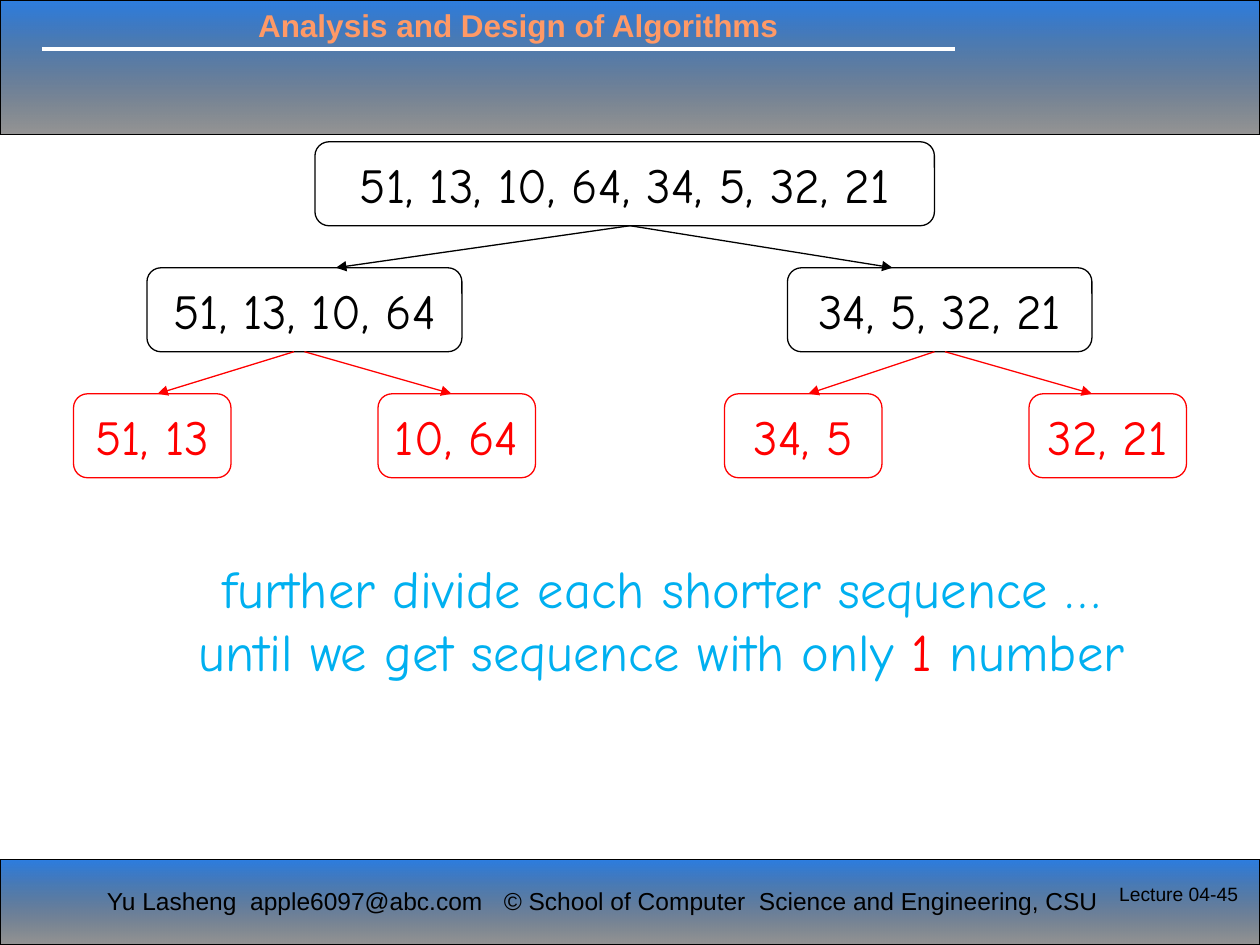
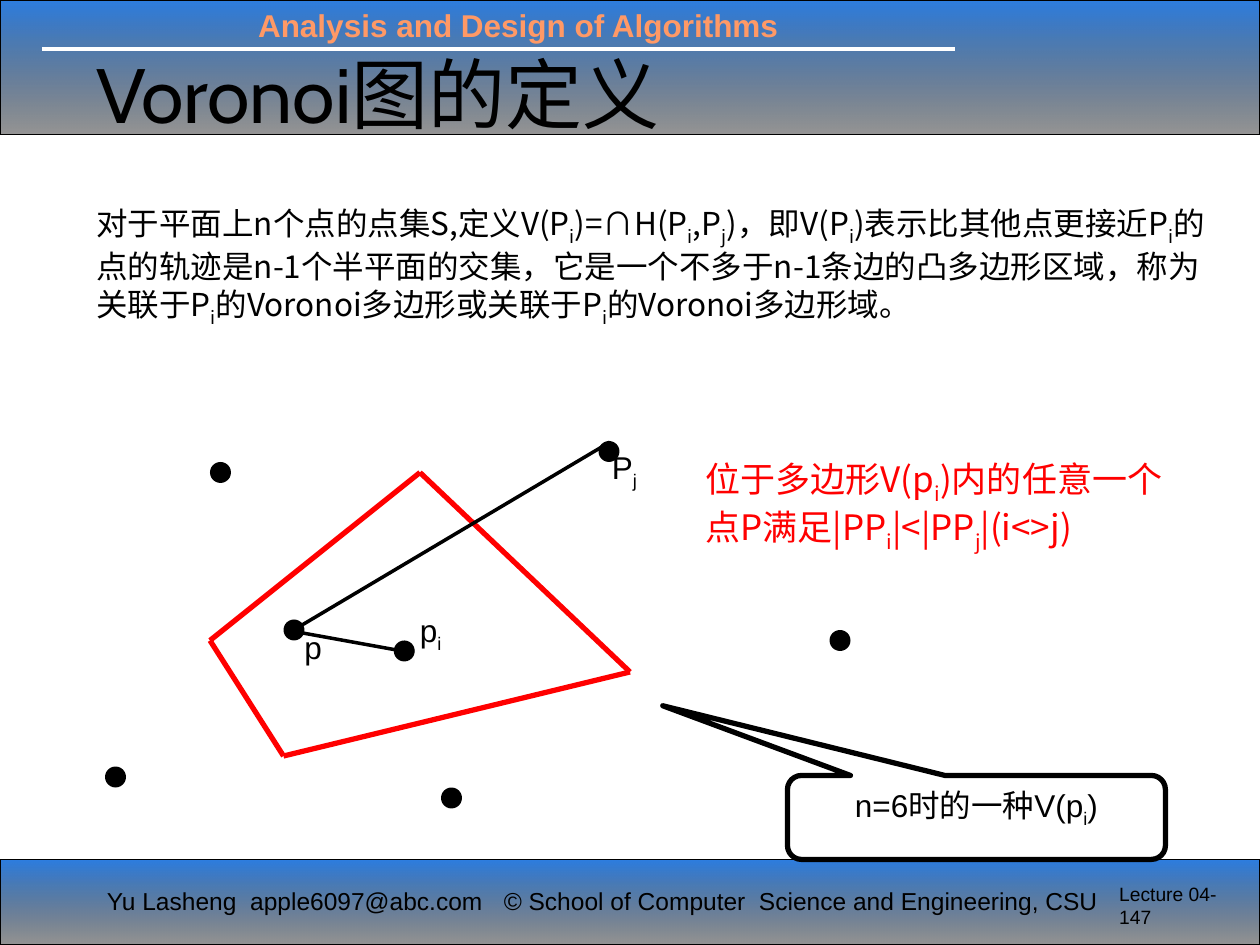
import itertools
from dataclasses import dataclass

import pptx
import pptx.util
from lxml import etree
from pptx.dml.color import RGBColor
from pptx.enum.shapes import MSO_CONNECTOR, MSO_SHAPE
from pptx.enum.text import MSO_ANCHOR, MSO_AUTO_SIZE, PP_ALIGN
from pptx.oxml.ns import qn


@dataclass(frozen=True)
class Theme:
    black: str = "000000"
    white: str = "FFFFFF"
    red: str = "FF0000"
    sky: str = "00B0F0"
    orange: str = "FF9966"
    band: tuple = (("0E6BDC", 88), ("000000", 41))  # colour, opacity in percent
    sans: str = "Arial"
    heading: str = "Cabin"
    hand: str = "Comic Neue"
    cjk: str = "Noto Sans CJK SC"
    title: int = 44
    caption: int = 30
    node: int = 28
    note: int = 20
    body: int = 18
    credit: int = 14
    page: int = 11
    hairline: float = 0.75
    link: float = 2
    rule: float = 2.25
    outline: float = 3


T = Theme()
COLS, ROWS = 120, 90  # grid of the slide, twelve cells to the inch
PAGE = (0, 0, COLS, ROWS)


def cells(*values):
    return [pptx.util.Inches(v / 12) for v in values]


def within(box, x, y):
    return box[0] + x, box[1] + y


def rgb(colour):
    return RGBColor.from_string(colour)


def add_runs(p, text):
    """Add text to p; the character after each underscore is a subscript."""
    first, *rest = text.split("_")
    pieces = [(first, False)]
    for part in rest:
        pieces += [(part[0], True), (part[1:], False)]
    for piece, is_sub in pieces:
        if piece:
            r = p.add_run()
            r.text = piece
            if is_sub:
                r._r.get_or_add_rPr().set("baseline", "-25000")


def write(sp, lines, size, font=T.sans, colour=T.black, align=PP_ALIGN.LEFT,
          anchor=MSO_ANCHOR.TOP, wrap=True, bold=False):
    tf = sp.text_frame
    tf.word_wrap = wrap
    tf.vertical_anchor = anchor
    for i, line in enumerate(lines):
        p = tf.add_paragraph() if i else tf.paragraphs[0]
        add_runs(p, line)
        p.alignment = align
        p.font.size = pptx.util.Pt(size)
        p.font.bold = bold
        p.font.color.rgb = rgb(colour)
        p.font.name = font
        defaults = p._p.pPr.find(qn("a:defRPr"))
        etree.SubElement(defaults, qn("a:ea"), typeface=T.cjk)


def add_text(slide, box, text, size, **style):
    sp = slide.shapes.add_textbox(*cells(*box))
    write(sp, text.split("\n"), size, **style)
    return sp


def add_label(slide, box, text, size):
    """Add text on one line that never wraps."""
    sp = add_text(slide, box, text, size, wrap=False)
    sp.text_frame.auto_size = MSO_AUTO_SIZE.SHAPE_TO_FIT_TEXT


def add_shape(slide, kind, box, fill=None, line=None, width=T.hairline):
    sp = slide.shapes.add_shape(kind, *cells(*box))
    sp.shadow.inherit = False
    if fill:
        sp.fill.solid()
        sp.fill.fore_color.rgb = rgb(fill)
    else:
        sp.fill.background()
    if line:
        sp.line.color.rgb = rgb(line)
        sp.line.width = pptx.util.Pt(width)
    else:
        sp.line.fill.background()
    return sp


def add_line(slide, start, end, colour, width, arrow=False):
    cxn = slide.shapes.add_connector(MSO_CONNECTOR.STRAIGHT, *cells(*start, *end))
    cxn.line.color.rgb = rgb(colour)
    cxn.line.width = pptx.util.Pt(width)
    if arrow:
        etree.SubElement(cxn.line._get_or_add_ln(), qn("a:tailEnd"), type="triangle")
    etree.SubElement(cxn._element.spPr, qn("a:effectLst"))


def add_band(slide, box):
    sp = add_shape(slide, MSO_SHAPE.RECTANGLE, box, line=T.black)
    sp.fill.gradient()
    sp.fill.gradient_angle = 270
    for stop, (colour, _) in zip(sp.fill.gradient_stops, T.band):
        stop.color.rgb = rgb(colour)
    for clr, (_, opacity) in zip(sp._element.xpath(".//a:gs/a:srgbClr"), T.band):
        etree.SubElement(clr, qn("a:alpha"), val=str(opacity * 1000))


def add_header(slide, box):
    add_band(slide, box)
    add_line(slide, within(box, 4, 4.7), within(box, 91, 4.7), T.white, T.rule)
    add_text(slide, (*within(box, 23.4, 0), 60, 4.8), "Analysis and Design of Algorithms",
             T.body, colour=T.orange, bold=True)


def add_footer(slide, box, number):
    add_band(slide, box)
    add_label(slide, (*within(box, 9, 1.9), 38.5, 4), "Yu Lasheng  apple6097@abc.com", T.credit)
    add_label(slide, (*within(box, 46.8, 1.9), 61.4, 4),
              "© School of Computer  Science and Engineering, CSU", T.credit)
    add_text(slide, (*within(box, 105.4, 1.55), 14.6, 6), f"Lecture 04-{number}", T.page)


def new_slide(prs, number):
    slide = prs.slides.add_slide(prs.slide_layouts[6])
    left, top, width, height = PAGE
    add_header(slide, (left, top, width, 12.85))
    add_footer(slide, (left, top + height - 8.15, width, 8.15), number)
    return slide


def add_split_tree(slide, box):
    """Draw the sequence and its halves, one level every 12 rows."""
    node_height, step = 8, 12
    levels = [  # colour, nodes (x, width, text), arrows to the level (from x, to x)
        (T.black, [(23, 59, "51, 13, 10, 64, 34, 5, 32, 21")], []),
        (T.black, [(7, 30, "51, 13, 10, 64"), (68, 29, "34, 5, 32, 21")],
         [(53, 25), (53, 78)]),
        (T.red, [(0, 15, "51, 13"), (29, 15, "10, 64"), (62, 15, "34, 5"), (91, 15, "32, 21")],
         [(21, 8), (22, 36), (82, 70), (83, 97)]),
    ]
    for depth, (colour, nodes, arrows) in enumerate(levels):
        y = depth * step
        for x, width, text in nodes:
            sp = add_shape(slide, MSO_SHAPE.ROUNDED_RECTANGLE,
                           (*within(box, x, y), width, node_height), T.white, colour)
            write(sp, [text], T.node, T.hand, colour, PP_ALIGN.CENTER,
                  MSO_ANCHOR.MIDDLE, wrap=False)
        for start, end in arrows:
            add_line(slide, within(box, start, y - step + node_height), within(box, end, y),
                     colour, T.hairline, arrow=True)


def add_split_caption(slide, box):
    sp = add_text(slide, box, "further divide each shorter sequence …", T.caption,
                  font=T.hand, colour=T.sky, align=PP_ALIGN.CENTER)
    write_last = ["until we get sequence with only ", "1 ", "number"]
    first = sp.text_frame.paragraphs[0]
    p = sp.text_frame.add_paragraph()
    p._p.append(etree.fromstring(etree.tostring(first._p.pPr)))
    for text in write_last:
        p.add_run().text = text
    p.runs[1].font.color.rgb = rgb(T.red)


def add_voronoi_cell(slide, box):
    """Draw the sites, the cell of one of them and its distances to p."""
    dot = 2
    p_dot, p_centre = (17, 17), (17.8, 18.1)
    sites = [(27.5, 19), (10, 2), (0, 31), (32, 33), (47, 0), (69, 18)]
    corners = [(10, 19), (30, 3), (50, 22), (17, 30)]
    labels = [("p_i", 28.8, 15.6, 5.2), ("p", 17.8, 17.2, 4.4), ("P_j", 47.1, 0.1, 5.4)]

    for start, end in itertools.pairwise(corners + corners[:1]):
        add_line(slide, within(box, *start), within(box, *end), T.red, T.outline)
    for x, y in sites + [p_dot]:
        add_shape(slide, MSO_SHAPE.OVAL, (*within(box, x, y), dot, dot), T.black)
    for text, x, y, width in labels:
        add_label(slide, (*within(box, x, y), width, 6), text, T.body)
    for end in [(48.1, 0.1), (28.3, 20)]:
        add_line(slide, within(box, *p_centre), within(box, *end), T.black, T.link)


def add_callout(slide, box):
    sp = add_shape(slide, MSO_SHAPE.ROUNDED_RECTANGULAR_CALLOUT, box,
                   line=T.black, width=T.outline)
    sp.adjustments[0], sp.adjustments[1] = -0.83, -1.33
    write(sp, ["n=6时的一种V(p_i)"], T.body, align=PP_ALIGN.CENTER)


def split_slide(prs):
    slide = new_slide(prs, 45)
    add_split_tree(slide, (7, 13.5, 106, 32))
    add_split_caption(slide, (10, 52.4, 106, 13.3))


def voronoi_slide(prs):
    slide = new_slide(prs, 147)
    add_text(slide, (8, 4.9, 102, 8.9), "Voronoi图的定义", T.title,
             font=T.heading, anchor=MSO_ANCHOR.BOTTOM)
    add_text(slide, (8, 18.85, 108, 12.1),
             "对于平面上n个点的点集S,定义V(P_i)=∩H(P_i,P_j)，即V(P_i)表示比其他点更接近P_i的点的轨迹是"
             "n-1个半平面的交集，它是一个不多于n-1条边的凸多边形区域，称为关联于P_i的Voronoi多边形"
             "或关联于P_i的Voronoi多边形域。", T.body, font=T.cjk)
    add_voronoi_cell(slide, (10, 42, 71, 35))
    add_callout(slide, (75, 73.85, 36, 8))
    add_text(slide, (66, 43, 48, 9.2), "位于多边形V(p_i)内的任意一个点P满足|PP_i|<|PP_j|(i<>j)",
             T.note, font=T.cjk, colour=T.red)


def main():
    prs = pptx.Presentation()
    prs.slide_width, prs.slide_height = cells(COLS, ROWS)
    split_slide(prs)
    voronoi_slide(prs)
    prs.save("out.pptx")


if __name__ == "__main__":
    main()
